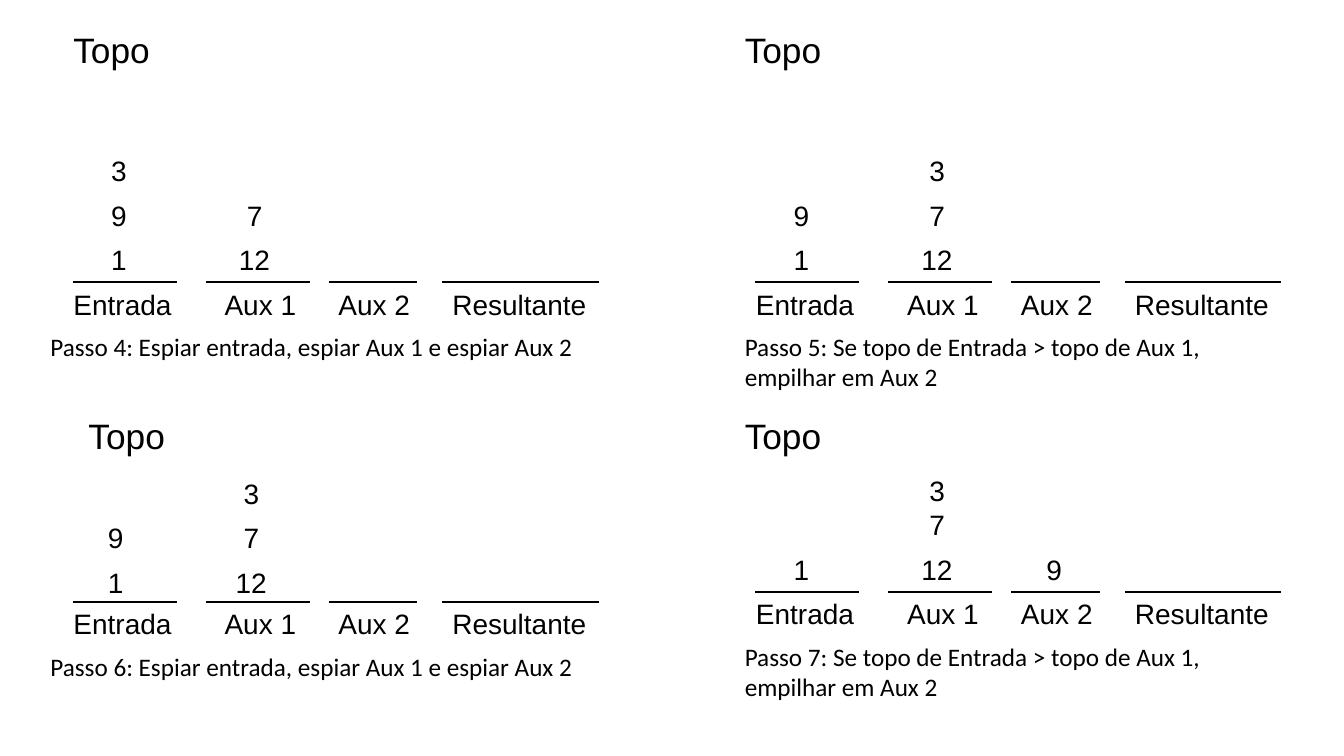
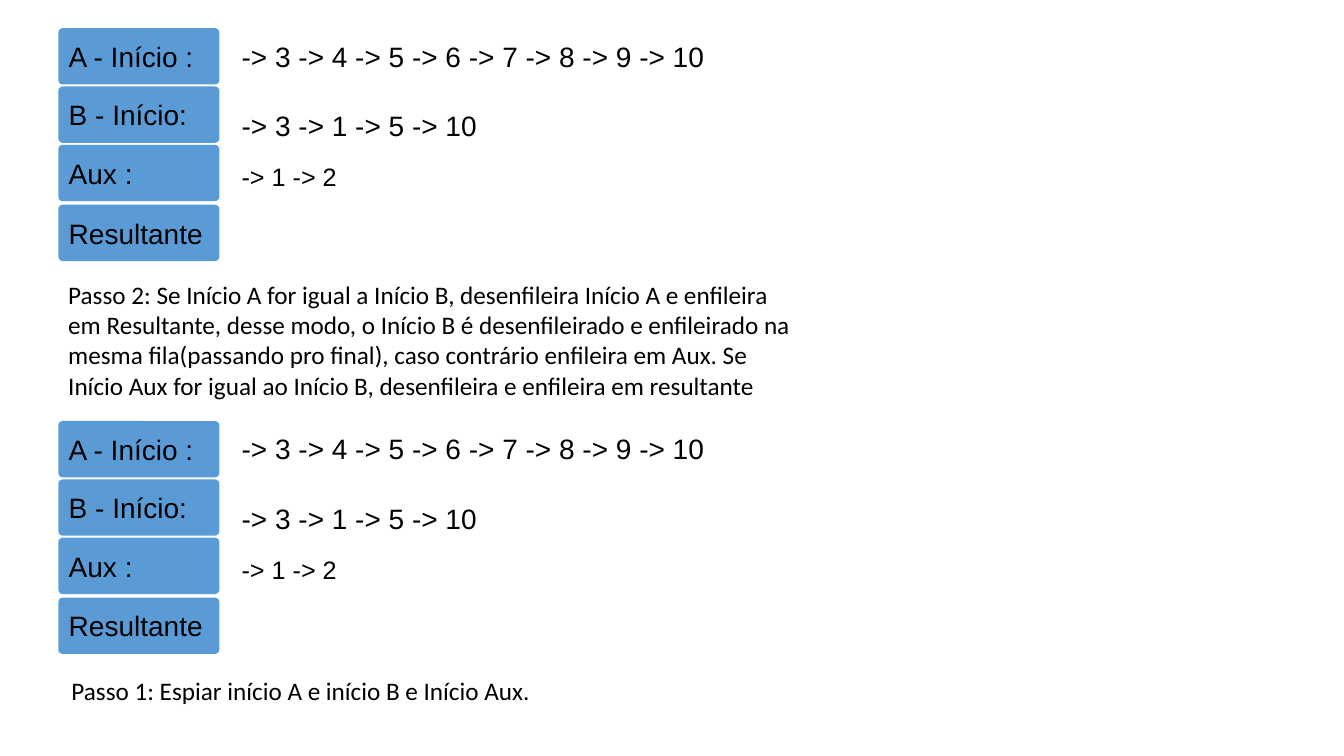
from pptx import Presentation
from pptx import util as u
from pptx.dml.color import RGBColor
from pptx.enum import shapes, text
from pptx.oxml.ns import qn
from lxml import etree

BLACK = RGBColor(0x00, 0x00, 0x00)
BLUE = RGBColor(0x5B, 0x9B, 0xD5)

FORMATS = {
    "heading": {"name": "Arial", "size": u.Pt(25.2)},
    "label": {"name": "Arial", "size": u.Pt(20)},
    "small": {"name": "Arial", "size": u.Pt(18)},
    "step": {"name": "Calibri", "size": u.Pt(18)},
}

# name, label offset, label width, line offset, line width (cm)
STACK_COLUMNS = [
    ("Entrada", 0, 3.48, 0.23, 2.62),
    ("Aux 1", 3.81, 2.57, 3.58, 2.62),
    ("Aux 2", 6.68, 2.57, 6.68, 2.24),
    ("Resultante", 9.55, 4.06, 9.55, 3.94),
]
ITEM_OFFSETS = {"Entrada": 0.95, "Aux 1": 4.37, "Aux 2": 7.32}
ITEM_STEP = 1.12

QUEUE_PITCH = 9.9
QUEUE_TAGS = [("A - Início :", 0.71), ("B - Início:", 2.18),
              ("Aux :", 3.65), ("Resultante", 5.16)]
QUEUE_CHAINS = [
    ("-> 3 -> 4 -> 5 -> 6 -> 7 -> 8 -> 9 -> 10", 0.86, 15.34, "label"),
    ("-> 3 -> 1 -> 5 -> 10", 2.62, 6.63, "label"),
    ("-> 1 -> 2", 3.94, 3.07, "small"),
]


class Canvas:
    """Holds the style, the deck and the page being filled."""

    def __init__(self):
        self.deck = Presentation()
        self.deck.slide_width = u.Cm(33.87)
        self.deck.slide_height = u.Cm(19.05)

    def new_page(self):
        self.page = self.deck.slides.add_slide(self.deck.slide_layouts[6])

    def group(self):
        return self.page.shapes.add_group_shape().shapes

    def fill_text(self, frame, words, style):
        para = frame.paragraphs[0]
        para.alignment = text.PP_ALIGN.LEFT
        span = para.add_run()
        span.text = words
        for key, value in FORMATS[style].items():
            setattr(span.font, key, value)
        span.font.color.rgb = BLACK
        return para

    def label(self, words, left, top, width, height=1.12, style="label",
              parent=None):
        holder = parent or self.page.shapes
        box = holder.add_textbox(*map(u.Cm, (left, top, width, height)))
        frame = box.text_frame
        frame.word_wrap = True
        frame.auto_size = text.MSO_AUTO_SIZE.SHAPE_TO_FIT_TEXT
        return self.fill_text(frame, words, style)

    def heading(self, words, left, top):
        para = self.label(words, left, top, 2.5, 1.37, "heading")
        para.line_spacing = 0.9

    def line(self, left, top, width, parent):
        rule = parent.add_connector(
            shapes.MSO_CONNECTOR.STRAIGHT,
            *map(u.Cm, (left, top, left + width, top)))
        rule.line.color.rgb = BLACK
        rule.line.width = u.Pt(1.5)
        etree.SubElement(rule._element.spPr, qn("a:effectLst"))

    def tag(self, words, left, top, parent):
        shape = parent.add_shape(
            shapes.MSO_SHAPE.ROUNDED_RECTANGLE,
            *map(u.Cm, (left, top, 4.06, 1.42)))
        shape.adjustments[0] = 0.08
        shape.shadow.inherit = False
        shape.fill.solid()
        shape.fill.fore_color.rgb = BLUE
        shape.line.fill.background()
        frame = shape.text_frame
        settings = {"word_wrap": True, "margin_left": u.Cm(0.23),
                    "margin_right": 0,
                    "vertical_anchor": text.MSO_ANCHOR.MIDDLE}
        for key, value in settings.items():
            setattr(frame, key, value)
        self.fill_text(frame, words, "label")

    def stacks(self, left, base, contents, shift=0):
        """Draw the four stacks; each item is a number or (number, drop)."""
        parent = self.group()
        for name, label_x, label_width, line_x, line_width in STACK_COLUMNS:
            self.label(name, left + label_x, base, label_width, parent=parent)
            self.line(left + line_x, base, line_width, parent)
        for name, items in contents.items():
            for level, item in enumerate(items, 1):
                number, drop = item if isinstance(item, tuple) else (item, 0)
                wide = number > 9
                x = left + ITEM_OFFSETS[name] - shift - (0.2 if wide else 0)
                y = base - level * ITEM_STEP + shift + drop
                self.label(str(number), x, y, 1.47 if wide else 0.97)

    def queues(self, top):
        parent = self.group()
        for words, y in QUEUE_TAGS:
            self.tag(words, 1.47, top + y, parent)
        for words, y, width, style in QUEUE_CHAINS:
            self.label(words, 5.84, top + y, width, style=style)


def stack_page(canvas):
    canvas.new_page()
    peek = "Passo {}: Espiar entrada, espiar Aux 1 e espiar Aux 2"
    push = "Passo {}: Se topo de Entrada > topo de Aux 1, empilhar em Aux 2"
    left, right = (1.6, 1.02, 14.33, 1.02), (18.8, 18.52, 14.2, 1.8)
    # step, wording, side, heading x and y, base line, contents, shift
    panels = [
        (4, peek, left, 1.6, 0.71, 7.11,
         {"Entrada": [1, 9, 3], "Aux 1": [12, 7]}, 0),
        (5, push, right, 18.52, 0.71, 7.11,
         {"Entrada": [1, 9], "Aux 1": [12, 7, 3]}, 0),
        (6, peek, left, 1.98, 10.44, 15.16,
         {"Entrada": [1, 9], "Aux 1": [12, 7, 3]}, 0.08),
        (7, push, right, 18.52, 10.44, 14.91,
         {"Entrada": [1], "Aux 1": [12, 7, (3, 0.26)], "Aux 2": [9]}, 0),
    ]
    for step, wording, side, x, y, base, contents, shift in panels:
        stack_x, step_x, width, height = side
        canvas.heading("Topo", x, y)
        canvas.stacks(stack_x, base, contents, shift)
        canvas.label(wording.format(step), step_x, base + 1.12, width, height,
                     "step")


def queue_page(canvas):
    canvas.new_page()
    for row in range(2):
        canvas.queues(row * QUEUE_PITCH)
    canvas.label(
        "Passo 2: Se Início A for igual a Início B, desenfileira Início A e "
        "enfileira em Resultante, desse modo, o Início B é desenfileirado e "
        "enfileirado na mesma fila(passando pro final), caso contrário "
        "enfileira em Aux. Se Início Aux for igual ao Início B, desenfileira "
        "e enfileira em resultante", 1.47, 6.91, 19.08, 3.33, "step")
    canvas.label("Passo 1: Espiar início A e início B e Início Aux.",
                 1.55, 16.89, 12.4, 1.02, "step")


def main():
    canvas = Canvas()
    stack_page(canvas)
    queue_page(canvas)
    canvas.deck.save("out.pptx")


if __name__ == "__main__":
    main()
